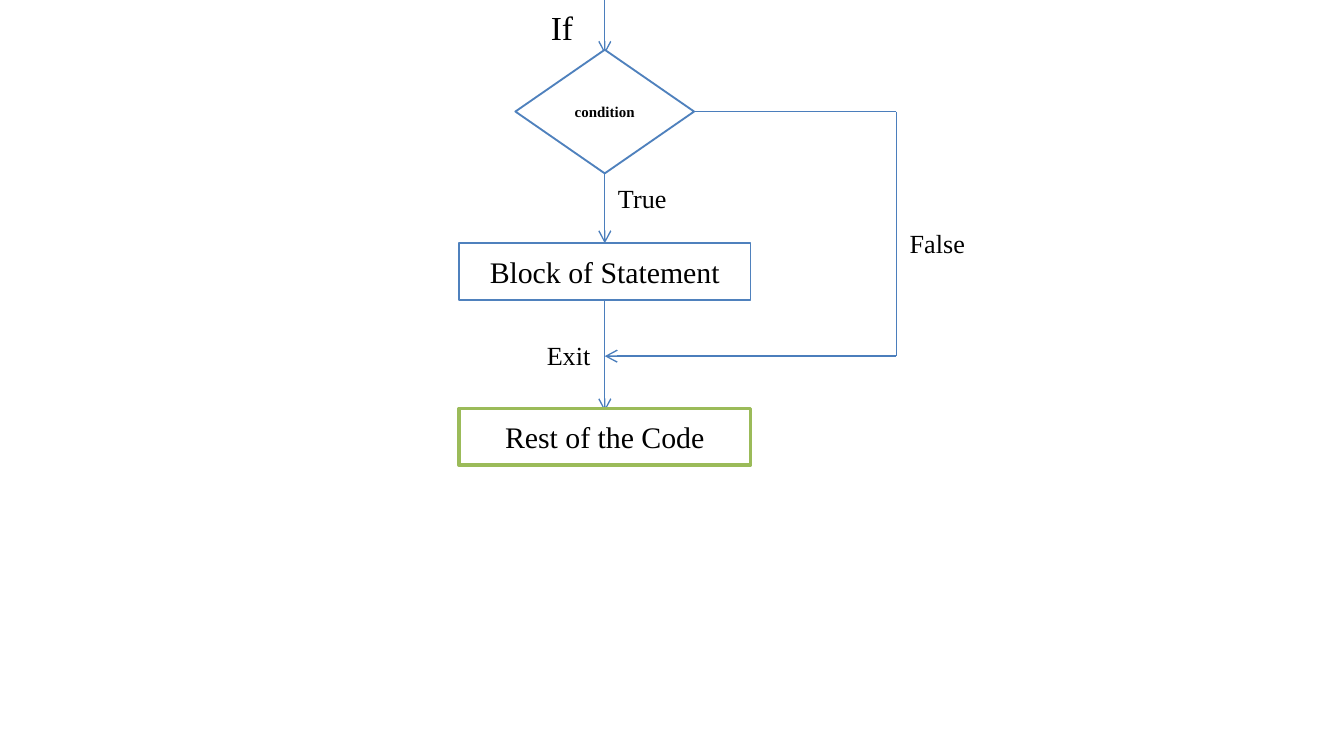
import pptx
import pptx.util
import pptx.dml.color
import pptx.enum.shapes
import pptx.enum.text
import lxml.etree
from pptx.util import Inches

BLUE, GREEN, CONNECTOR_BLUE = "4F81BD", "9BBB59", "4B7EBC"
MSO_SHAPE = pptx.enum.shapes.MSO_SHAPE
CENTER_X = 4.5
FALSE_X = 6.67
CONDITION_Y = 0.83
EXIT_Y = 2.65


def color(hex_string):
    return pptx.dml.color.RGBColor.from_string(hex_string)


def write_text(shape, text, size, bold=False):
    shape.text_frame.text = text
    font = shape.text_frame.paragraphs[0].runs[0].font
    font.name = "Times New Roman"
    font.size = pptx.util.Pt(size)
    font.bold = bold
    font.color.rgb = color("000000")


presentation = pptx.Presentation()
presentation.slide_width = Inches(10)
presentation.slide_height = Inches(10 * 9 / 16)
slide = presentation.slides.add_slide(presentation.slide_layouts[6])

# Flow lines: start, end, arrowhead at the end
flow_lines = [
    ((CENTER_X, 0), (CENTER_X, 0.4), True),
    ((CENTER_X, 1.29), (CENTER_X, 1.81), True),
    ((CENTER_X, 2.23), (CENTER_X, 3.06), True),
    ((5.17, CONDITION_Y), (FALSE_X, CONDITION_Y), False),
    ((FALSE_X, CONDITION_Y), (FALSE_X, EXIT_Y), False),
    ((FALSE_X, EXIT_Y), (CENTER_X, EXIT_Y), True),
]
for start, end, has_arrow in flow_lines:
    connector = slide.shapes.add_connector(
        pptx.enum.shapes.MSO_CONNECTOR.STRAIGHT,
        *(Inches(value) for value in start + end))
    connector.line.color.rgb = color(CONNECTOR_BLUE)
    connector.line.width = pptx.util.Pt(0.75)
    properties = connector.element.spPr
    if has_arrow:
        line = properties.find(pptx.oxml.ns.qn("a:ln"))
        lxml.etree.SubElement(line, pptx.oxml.ns.qn("a:tailEnd"), type="arrow")
    lxml.etree.SubElement(properties, pptx.oxml.ns.qn("a:effectLst"))

# Nodes, all centred on the flow: preset, top, width, height, line, text
nodes = [
    (MSO_SHAPE.DIAMOND, 0.37, 1.33, 0.92, BLUE, 1, "condition", 8, True),
    (MSO_SHAPE.RECTANGLE, 1.81, 2.17, 0.42, BLUE, 1, "Block of Statement", 16, False),
    (MSO_SHAPE.RECTANGLE, 3.04, 2.17, 0.42, GREEN, 2, "Rest of the Code", 16, False),
]
for preset, top, width, height, line_color, line_width, text, size, bold in nodes:
    node = slide.shapes.add_shape(
        preset, Inches(CENTER_X - width / 2), Inches(top), Inches(width), Inches(height))
    node.shadow.inherit = False
    node.fill.solid()
    node.fill.fore_color.rgb = color("FFFFFF")
    node.line.color.rgb = color(line_color)
    node.line.width = pptx.util.Pt(line_width)
    write_text(node, text, size, bold)
    frame = node.text_frame
    frame.margin_left = frame.margin_right = 0
    frame.vertical_anchor = pptx.enum.text.MSO_ANCHOR.MIDDLE
    frame.paragraphs[0].alignment = pptx.enum.text.PP_ALIGN.CENTER

# Labels beside the flow: left, top, width, height, text, size
labels = [
    (4, 0, 0.37, 0.4, "If", 18),
    (CENTER_X, 1.31, 0.56, 0.34, "True", 14),
    (FALSE_X, 1.64, 0.62, 0.34, "False", 14),
    (3.97, 2.48, 0.53, 0.34, "Exit", 14),
]
for left, top, width, height, text, size in labels:
    label = slide.shapes.add_textbox(
        Inches(left), Inches(top), Inches(width), Inches(height))
    write_text(label, text, size)
    label.text_frame.word_wrap = False
    label.text_frame.auto_size = pptx.enum.text.MSO_AUTO_SIZE.SHAPE_TO_FIT_TEXT

presentation.save("out.pptx")
